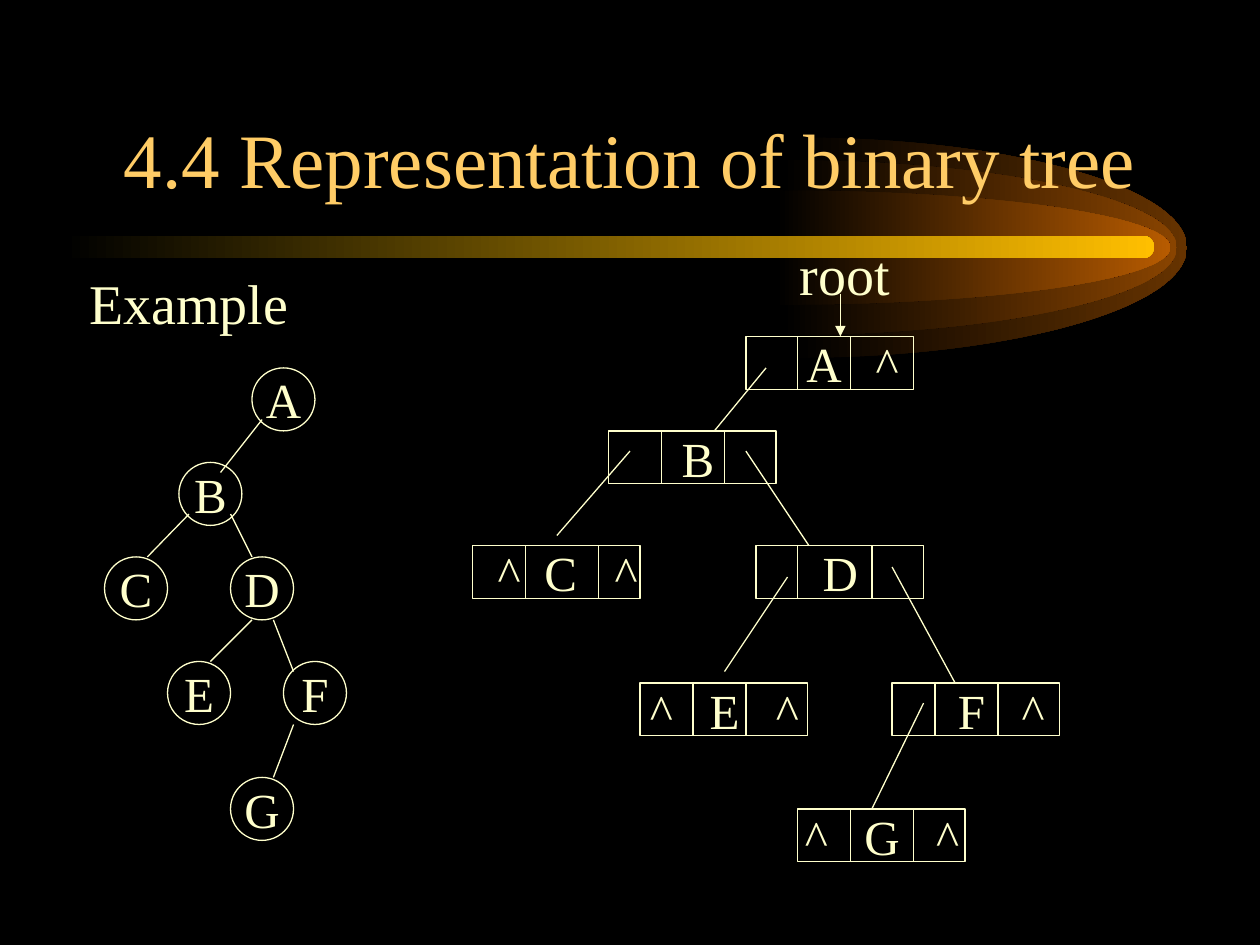
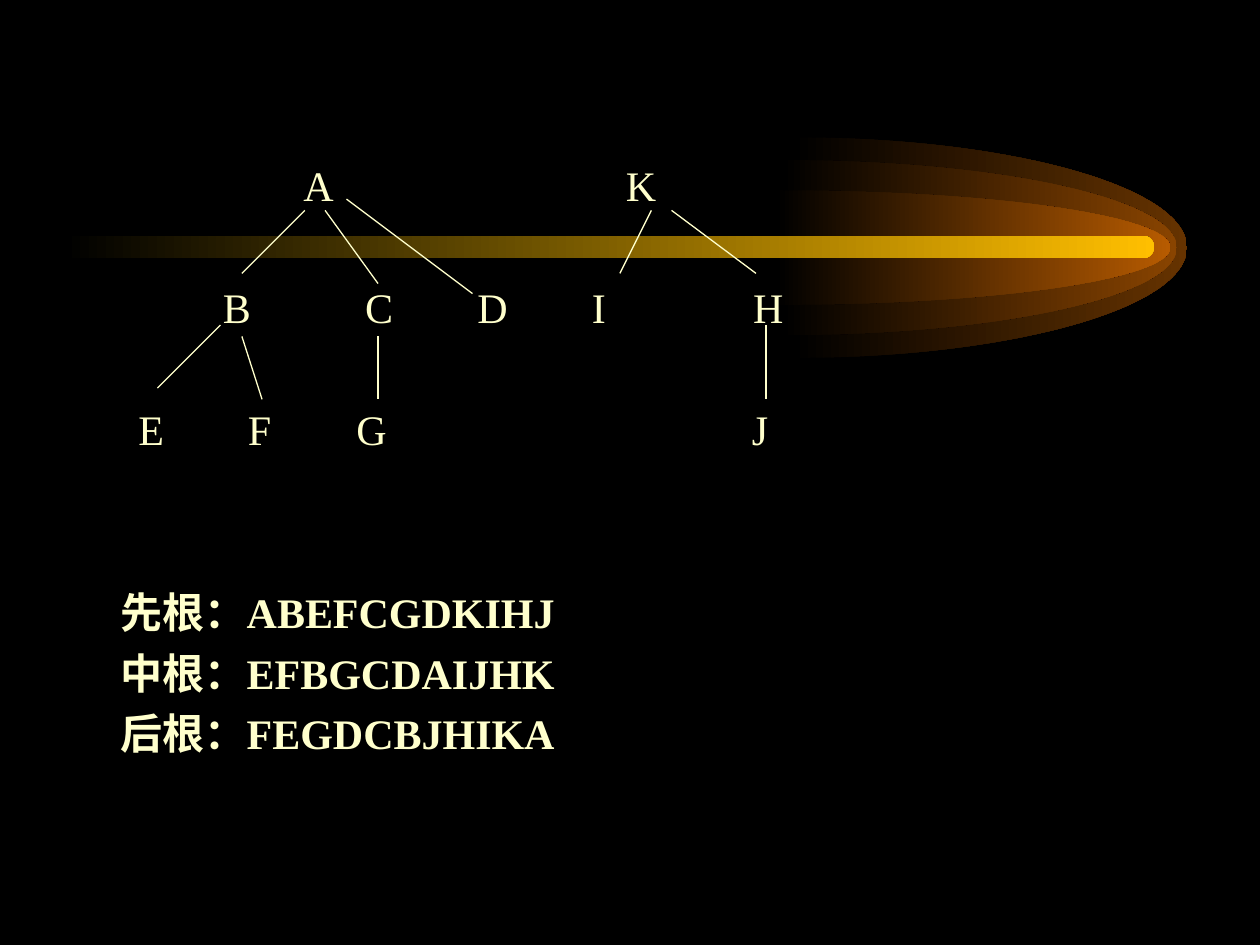
import pptx
import pptx.dml.color
import pptx.enum.shapes
import pptx.enum.text
import pptx.oxml
import pptx.oxml.ns
import pptx.util
from pptx.util import Inches

ALIGN = pptx.enum.text.PP_ALIGN
ANCHOR = pptx.enum.text.MSO_ANCHOR
SHAPE = pptx.enum.shapes.MSO_SHAPE

BLACK, CREAM, GOLD = "000000", "FFFFCC", "FFCC66"
FONT = "Times New Roman"
FLAME_LENGTH = 3.13
FLAMES = [(6.29, 1.09, 1.75, "663300"), (6.21, 1.27, 1.39, "894400"),
          (6.16, 1.51, 0.91, "B75B00")]
CURVE = 0.55  # Bezier handle length for a quarter ellipse
NODE_SIZE, RECORD_W, RECORD_H = 0.5, 1.33, 0.42
LINE_PT, LINE_GAP = 28.8, 6


def rgb(value):
    return pptx.dml.color.RGBColor.from_string(value)


def xml(tag, **attributes):
    """Make an empty DrawingML element."""
    element = pptx.oxml.parse_xml(f'<a:{tag} {pptx.oxml.ns.nsdecls("a")}/>')
    for name, value in attributes.items():
        element.set(name, str(value))
    return element


def write(tf, text, size=28, color=CREAM, align=ALIGN.LEFT, anchor=ANCHOR.TOP,
          inset_x=0.1, inset_y=0.05, gaps=(), tabs=(), tab_align="l", bold_from=None):
    """Fill a frame, one paragraph a line; gaps and tabs have an entry a line."""
    tf.word_wrap = True
    tf.vertical_anchor = anchor
    tf.margin_left = tf.margin_right = Inches(inset_x)
    tf.margin_top = tf.margin_bottom = Inches(inset_y)
    for i, line in enumerate(text.split("\n")):
        p = tf.paragraphs[0] if i == 0 else tf.add_paragraph()
        p.alignment = align
        p.space_before = pptx.util.Pt(gaps[i] if gaps else 0)
        if tabs:
            stops = xml("tabLst")
            for x in tabs[i]:
                stops.append(xml("tab", pos=Inches(x), algn=tab_align))
            p._p.get_or_add_pPr().append(stops)
        r = p.add_run()
        r.text = line
        r.font.name = FONT
        r.font.size = pptx.util.Pt(size)
        r.font.bold = bold_from is not None and i >= bold_from
        r.font.color.rgb = rgb(color)


def tabbed(labels):
    return "".join("\t" + label for label in labels)


class Deck:
    """Holds the presentation, its style and the current slide."""

    def __init__(self):
        self.prs = pptx.Presentation()
        self.prs.slide_width, self.prs.slide_height = Inches(10), Inches(7.5)
        self.s = None

    def new_slide(self):
        self.s = self.prs.slides.add_slide(self.prs.slide_layouts[6])
        fill = self.s.background.fill
        fill.solid()
        fill.fore_color.rgb = rgb(BLACK)
        for flame in FLAMES:
            self.flame(*flame)
        bar = self.shape(SHAPE.ROUNDED_RECTANGLE, 0.5, 1.87, 8.66, 0.18)
        bar.adjustments[0] = 0.5
        self.glow(bar, "FFBF00")

    def glow(self, sp, color):
        """Fade from black on the left to the colour on the right."""
        sp.shadow.inherit = False
        sp.line.fill.background()
        sp.fill.gradient()
        sp.fill.gradient_angle = 0
        for stop, value in zip(sp.fill.gradient_stops, (BLACK, color)):
            stop.color.rgb = rgb(value)

    def flame(self, left, top, height, color):
        """Draw the right half of an ellipse as two Bezier curves."""
        unit = [(0, -1), (CURVE, -1), (1, -CURVE), (1, 0),
                (1, CURVE), (CURVE, 1), (0, 1)]
        points = [(Inches(left + FLAME_LENGTH * x), Inches(top + height * (1 + y) / 2))
                  for x, y in unit]
        builder = self.s.shapes.build_freeform(*points[0])
        builder.add_line_segments(points[1:], close=True)
        sp = builder.convert_to_shape()
        segments = list(sp._element.iter(pptx.oxml.ns.qn("a:lnTo")))
        for quarter in (segments[:3], segments[3:6]):
            curve = xml("cubicBezTo")
            quarter[0].addprevious(curve)
            for segment in quarter:
                curve.append(segment[0])
                segment.getparent().remove(segment)
        self.glow(sp, color)

    def shape(self, kind, x, y, w, h):
        sp = self.s.shapes.add_shape(kind, Inches(x), Inches(y), Inches(w), Inches(h))
        sp.shadow.inherit = False
        sp.fill.background()
        sp.line.color.rgb = rgb(CREAM)
        sp.line.width = pptx.util.Pt(0.75)
        return sp

    def text(self, text, x, y, w, h, **style):
        box = self.s.shapes.add_textbox(Inches(x), Inches(y), Inches(w), Inches(h))
        write(box.text_frame, text, **style)

    def title(self, text):
        self.text(text, 0.75, 0.42, 8.5, 1.25, size=44, color=GOLD,
                  align=ALIGN.CENTER, anchor=ANCHOR.BOTTOM)

    def line(self, x1, y1, x2, y2, arrow=False):
        c = self.s.shapes.add_connector(
            pptx.enum.shapes.MSO_CONNECTOR.STRAIGHT,
            Inches(x1), Inches(y1), Inches(x2), Inches(y2))
        c.line.color.rgb = rgb(CREAM)
        c.line.width = pptx.util.Pt(0.75)
        properties = c._element.spPr
        if arrow:
            properties.get_or_add_ln().append(xml("tailEnd", type="triangle"))
        properties.append(xml("effectLst"))

    def node(self, label, x, y):
        sp = self.shape(SHAPE.OVAL, x, y, NODE_SIZE, NODE_SIZE)
        write(sp.text_frame, label, align=ALIGN.CENTER, anchor=ANCHOR.MIDDLE, inset_x=0)

    def record(self, x, y, dividers, fields):
        """Draw a linked-list cell; fields maps text centres to their text."""
        sp = self.shape(SHAPE.RECTANGLE, x, y, RECORD_W, RECORD_H)
        write(sp.text_frame, tabbed(fields.values()), anchor=ANCHOR.MIDDLE,
              inset_x=0, inset_y=0, tabs=[list(fields)], tab_align="ctr")
        for dx in dividers:
            self.line(x + dx, y, x + dx, y + RECORD_H)


def representation_slide(deck):
    deck.new_slide()
    deck.title("4.4 Representation of binary tree")
    deck.text("Example", 0.61, 2.08, 8.64, 4.92, size=32)

    nodes = [("A", 2, 2.92), ("B", 1.42, 3.67), ("C", 0.83, 4.42), ("D", 1.83, 4.42),
             ("E", 1.33, 5.25), ("F", 2.25, 5.25), ("G", 1.83, 6.17)]
    for node in nodes:
        deck.node(*node)
    branches = [(2.08, 3.33, 1.75, 3.75), (1.5, 4.08, 1.17, 4.42),
                (1.83, 4.08, 2, 4.42), (2, 4.92, 1.67, 5.25),
                (2.17, 4.92, 2.33, 5.33), (2.33, 5.75, 2.17, 6.17)]

    records = [
        (5.92, 2.67, (0.41, 0.83), {0.62: "A", 1.12: "^"}),
        (4.83, 3.42, (0.42, 0.92), {0.71: "B"}),
        (3.75, 4.33, (0.42, 1), {0.29: "^", 0.7: "C", 1.22: "^"}),
        (6, 4.33, (0.33, 0.92), {0.67: "D"}),
        (5.08, 5.42, (0.42, 0.84), {0.17: "^", 0.67: "E", 1.17: "^"}),
        (7.08, 5.42, (0.34, 0.84), {0.63: "F", 1.12: "^"}),
        (6.33, 6.42, (0.42, 0.92), {0.15: "^", 0.67: "G", 1.19: "^"}),
    ]
    for record in records:
        deck.record(*record)
    pointers = [(6.08, 2.92, 5.67, 3.42), (5, 3.58, 4.42, 4.25),
                (5.92, 3.58, 6.42, 4.33), (6.25, 4.58, 5.75, 5.33),
                (7.08, 4.5, 7.58, 5.42), (7.33, 5.58, 6.92, 6.42)]
    for ends in branches + pointers:
        deck.line(*ends)
    deck.text("root", 6.25, 1.85, 0.92, 0.64, size=32)
    deck.line(6.67, 2.33, 6.67, 2.67, arrow=True)


def traversal_slide(deck):
    deck.new_slide()
    rows = [{2.06: "A", 4.62: "K"},
            {1.42: "B", 2.55: "C", 3.44: "D", 4.35: "I", 5.63: "H"},
            {0.75: "E", 1.62: "F", 2.48: "G", 5.62: "J"},
            {0.61: "先根：ABEFCGDKIHJ"},
            {0.61: "中根：EFBGCDAIJHK"},
            {0.61: "后根：FEGDCBJHIKA"}]
    steps = [2, 2, 3, 1, 1]
    gaps = [0] + [step * (LINE_PT + LINE_GAP) - LINE_PT for step in steps]
    deck.text("\n".join(tabbed(row.values()) for row in rows), 0.25, 1.22, 9.5, 6.03,
              size=24, gaps=gaps, tabs=[list(row) for row in rows], bold_from=3)
    branches = [(2.42, 1.67, 1.92, 2.17), (1.75, 2.58, 1.25, 3.08),
                (1.92, 2.67, 2.08, 3.17), (2.58, 1.67, 3, 2.25),
                (3, 2.67, 3, 3.17), (2.75, 1.58, 3.75, 2.33),
                (5.17, 1.67, 4.92, 2.17), (5.33, 1.67, 6, 2.17),
                (6.08, 2.58, 6.08, 3.17)]
    for ends in branches:
        deck.line(*ends)


def main():
    deck = Deck()
    representation_slide(deck)
    traversal_slide(deck)
    deck.prs.save("out.pptx")


if __name__ == "__main__":
    main()
